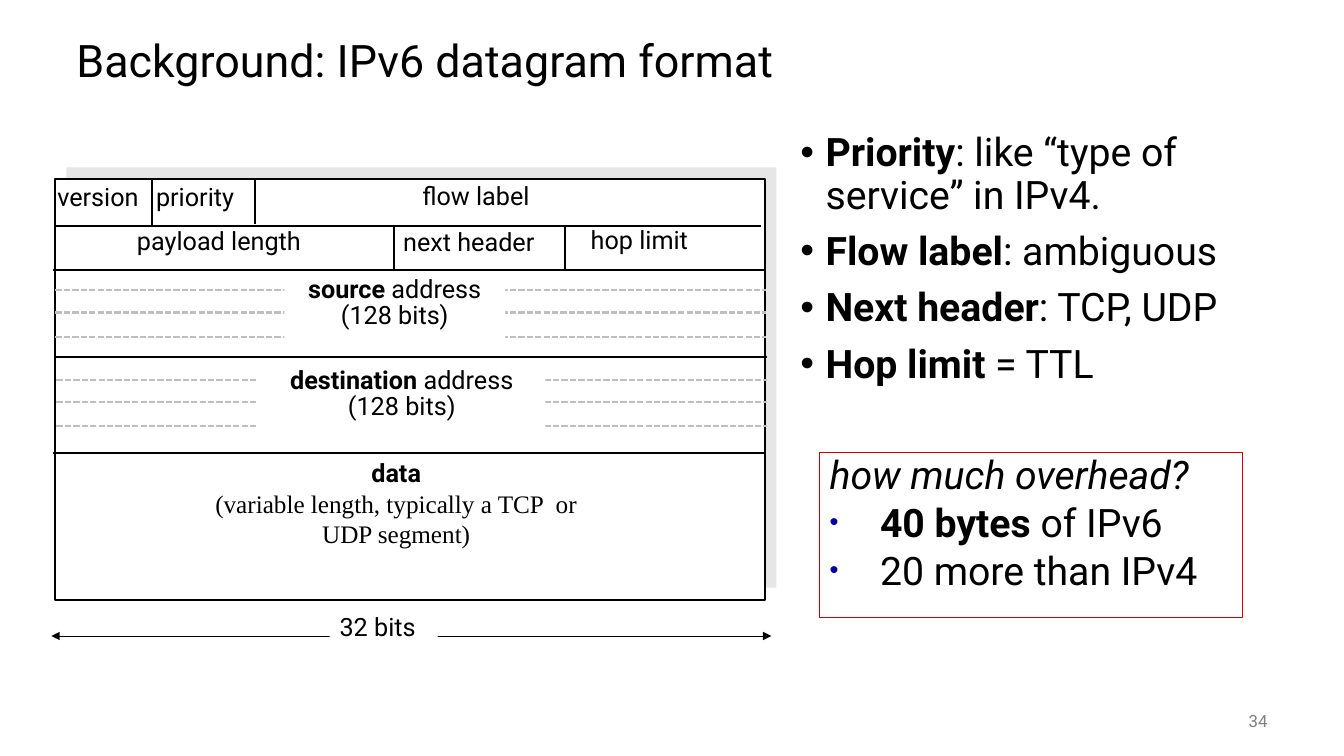
from lxml import etree
from pptx import Presentation
from pptx.dml.color import RGBColor
from pptx.enum.dml import MSO_LINE
from pptx.enum.shapes import MSO_CONNECTOR, MSO_SHAPE
from pptx.enum.text import MSO_ANCHOR, PP_ALIGN
from pptx.oxml.ns import qn
from pptx.util import Inches, Pt

LEFT, CENTER, RIGHT = PP_ALIGN.LEFT, PP_ALIGN.CENTER, PP_ALIGN.RIGHT
TOP, MIDDLE = MSO_ANCHOR.TOP, MSO_ANCHOR.MIDDLE
RECTANGLE, STRAIGHT = MSO_SHAPE.RECTANGLE, MSO_CONNECTOR.STRAIGHT
DASHED = MSO_LINE.SQUARE_DOT
SANS, SERIF = "Roboto", "Times New Roman"
BLACK, WHITE, SHADOW, GUIDE = "000000", "FFFFFF", "E6E6E6", "BFBFBF"
RED, NAVY, GREY = "CC0000", "000099", "808080"

TITLE = "Background: IPv6 datagram format"
PAGE = "34"
FIELD_NOTES = [
    ("Priority", ": like “type of service” in IPv4."),
    ("Flow label", ": ambiguous"),
    ("Next header", ": TCP, UDP"),
    ("Hop limit ", "= TTL"),
]
QUESTION = "how much overhead?"
ANSWERS = [("40 bytes ", "of IPv6"), ("", "20 more than IPv4")]
FIELDS = [
    ("version", 0.47, 1.75, 1.15),
    ("priority", 1.45, 1.75, 1.16),
    ("flow label", 4.09, 1.74, 1.47),
    ("payload length", 1.26, 2.19, 2.09),
    ("next header", 3.9, 2.2, 1.72),
    ("hop limit", 5.76, 2.18, 1.39),
]
ADDRESSES = [
    ("source", 2.82, 2.71, 2.19, 0.8),
    ("destination", 2.56, 3.61, 2.85, 0.79),
]
ROW_RULES = [(0.55, 7.55, 2.24), (0.53, 7.59, 2.68), (0.55, 7.61, 3.54), (0.53, 7.58, 4.49)]
FIELD_RULES = [(1.51, 1.79, 2.23), (2.53, 1.79, 2.22), (3.91, 2.23, 2.67), (5.6, 2.24, 2.67)]
WORD_GUIDES = [(0.55, 2.88), (0.56, 3.77)]
GUIDE_STEPS = (0, 0.22, 0.46)
GUIDE_LENGTH = 7.05

deck = Presentation()
deck.slide_width, deck.slide_height = Inches(13.33), Inches(7.5)
slide = deck.slides.add_slide(deck.slide_layouts[6])


def color(hex_code):
    return RGBColor.from_string(hex_code)


def rectangle(x, y, w, h, fill=None, outline=None, weight=1.5):
    box = slide.shapes.add_shape(RECTANGLE, *map(Inches, (x, y, w, h)))
    box.shadow.inherit = False
    if fill:
        box.fill.solid()
        box.fill.fore_color.rgb = color(fill)
    else:
        box.fill.background()
    if outline:
        box.line.color.rgb = color(outline)
        box.line.width = Pt(weight)
    else:
        box.line.fill.background()
    return box


def rule(x1, y1, x2, y2, stroke=BLACK, weight=1.5, dash=None, arrows=False):
    line = slide.shapes.add_connector(STRAIGHT, *map(Inches, (x1, y1, x2, y2)))
    line.line.color.rgb = color(stroke)
    line.line.width = Pt(weight)
    if dash:
        line.line.dash_style = dash
    if arrows:
        for end in ("a:headEnd", "a:tailEnd"):
            etree.SubElement(line.line._get_or_add_ln(), qn(end), type="triangle")
    etree.SubElement(line._element.spPr, qn("a:effectLst"))


def bullet(paragraph, indent, tint=None, percent=None):
    props = paragraph._p.get_or_add_pPr()
    props.set("marL", str(Inches(indent)))
    props.set("indent", str(-Inches(indent)))
    if tint:
        etree.SubElement(etree.SubElement(props, qn("a:buClr")), qn("a:srgbClr"), val=tint)
    if percent:
        etree.SubElement(props, qn("a:buSzPct"), val=str(percent * 1000))
    etree.SubElement(props, qn("a:buFont"), typeface="Arial")
    etree.SubElement(props, qn("a:buChar"), char="•")


def write(paragraph, bold, plain, size=18, font=SANS, align=LEFT, ink=BLACK,
          spacing=None, before=None, italic=False):
    paragraph.alignment = align
    if spacing:
        paragraph.line_spacing = spacing
    if before:
        paragraph.space_before = Pt(before)
    paragraph.font.size = Pt(size)
    paragraph.font.name = font
    paragraph.font.italic = italic
    paragraph.font.color.rgb = color(ink)
    for words, heavy in ((bold, True), (plain, False)):
        if words:
            run = paragraph.add_run()
            run.text = words
            run.font.bold = heavy


def text_frame(x, y, w, h, anchor=TOP, fill=None):
    box = slide.shapes.add_textbox(*map(Inches, (x, y, w, h)))
    if fill:
        box.fill.solid()
        box.fill.fore_color.rgb = color(fill)
    box.text_frame.word_wrap = True
    box.text_frame.vertical_anchor = anchor
    return box.text_frame


def next_paragraph(frame):
    return frame.add_paragraph() if frame.paragraphs[0].runs else frame.paragraphs[0]


write(text_frame(0.66, 0.25, 12, 0.75, MIDDLE).paragraphs[0], "", TITLE, 32, spacing=0.9)
write(text_frame(11.67, 6.95, 1, 0.4, MIDDLE).paragraphs[0], "", PAGE, 12, align=RIGHT, ink=GREY)

notes = text_frame(7.84, 1.27, 4.83, 2.73)
for order, (term, meaning) in enumerate(FIELD_NOTES):
    note = next_paragraph(notes)
    bullet(note, 0.25)
    write(note, term, meaning, 28, spacing=0.9, before=10 if order else None)

rectangle(0.66, 1.66, 7.04, 4.17, SHADOW)
rectangle(0.55, 1.78, 7.04, 4.17, WHITE, BLACK)
for start, end, y in ROW_RULES:
    rule(start, y, end, y)
for x, start, end in FIELD_RULES:
    rule(x, start, x, end)

data = text_frame(2.03, 4.49, 3.8, 1.31)
write(next_paragraph(data), "data", "", align=CENTER)
write(next_paragraph(data), "", "(variable length, typically a TCP  or UDP segment)",
      font=SERIF, align=CENTER)

for field, x, y, w in FIELDS:
    write(text_frame(x, y, w, 0.5).paragraphs[0], "", field)

rule(0.51, 6.31, 7.65, 6.31, weight=0.75, arrows=True)
write(text_frame(3.27, 6.02, 1.07, 0.5, fill=WHITE).paragraphs[0], "", "32 bits")

for x, top in WORD_GUIDES:
    for step in GUIDE_STEPS:
        rule(x, top + step, x + GUIDE_LENGTH, top + step, GUIDE, dash=DASHED)
for owner, x, y, w, h in ADDRESSES:
    address = text_frame(x, y, w, h, fill=WHITE)
    write(next_paragraph(address), owner, " address", align=CENTER, spacing=0.85)
    write(next_paragraph(address), "", "(128 bits)", align=CENTER, spacing=0.85)

overhead = rectangle(8.13, 4.49, 4.19, 1.64, outline=RED, weight=0.75).text_frame
overhead.word_wrap = True
overhead.vertical_anchor = TOP
write(next_paragraph(overhead), "", QUESTION, 28, spacing=0.85, italic=True)
for amount, rest in ANSWERS:
    answer = next_paragraph(overhead)
    bullet(answer, 0.5, NAVY, 65)
    write(answer, amount, rest, 28, spacing=0.85, before=5.6)

deck.save("out.pptx")
